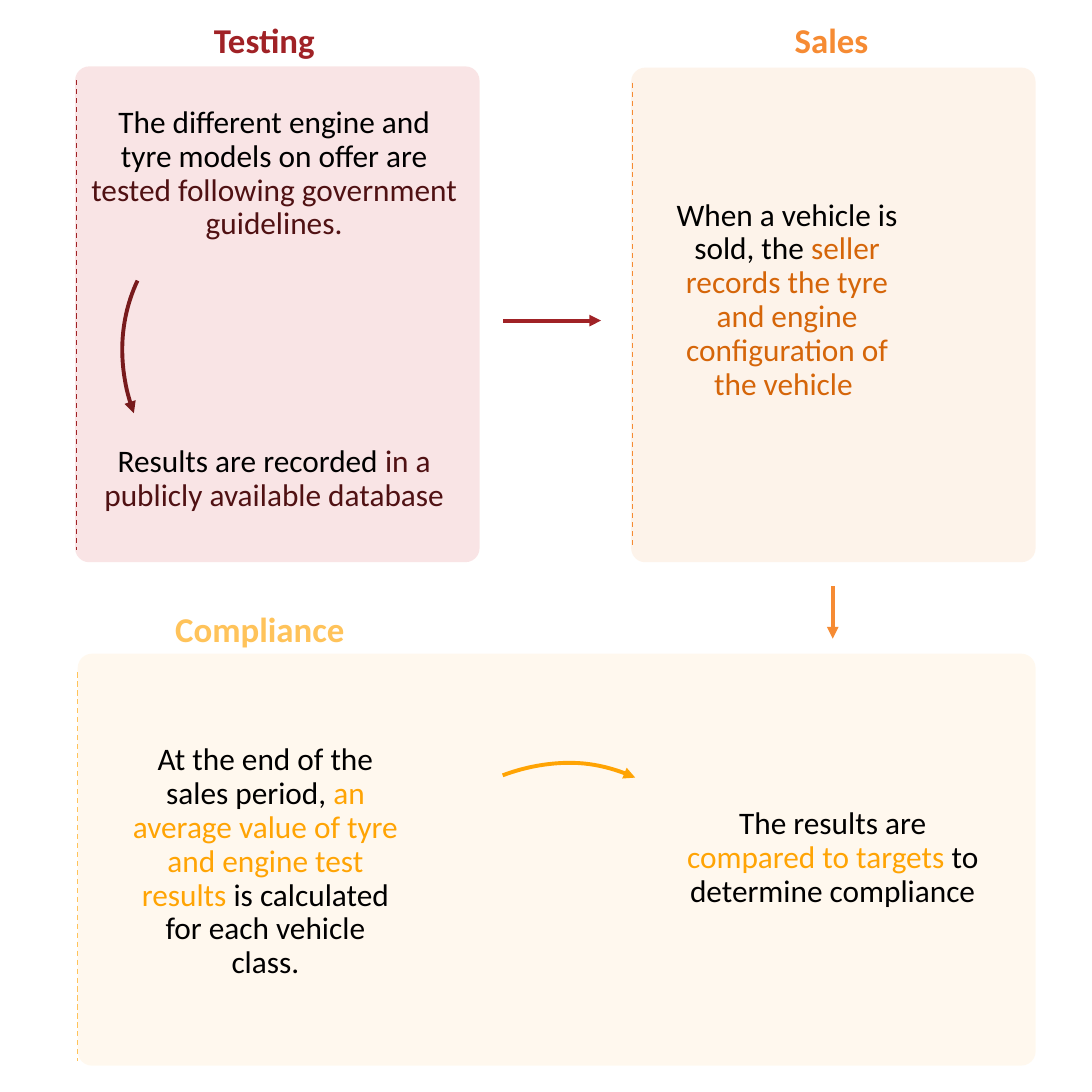
from lxml import etree
from pptx import Presentation
from pptx.dml.color import RGBColor
from pptx.enum.dml import MSO_LINE
from pptx.enum.shapes import MSO_CONNECTOR, MSO_SHAPE
from pptx.enum.text import MSO_AUTO_SIZE, PP_ALIGN
from pptx.oxml.ns import qn
from pptx.util import Inches, Pt

SIDE = 8.72
BLACK = "000000"
HEADING_TOP, HEADING_HEIGHT = 2.18, 3.44
ARC_SIZE = (40.37, 34.17)
ARC_ANGLES = (194.412, 0)
PARAGRAPH_GAP = 117

# Places are percentages of the slide's side: left, top, width, height.
STAGES = [
    {"name": "Compliance", "colour": "FFC35A", "tint": "FFF3DE",
     "panel": (7.11, 59.86, 87.73, 37.73), "heading": (12.73, 56.08, 22.13, HEADING_HEIGHT),
     "edge": (0, 1.72, 0.46)},
    {"name": "Sales", "colour": "F68B33", "tint": "FDE8D6",
     "panel": (57.8, 6.19, 37.04, 45.3), "heading": (68.12, HEADING_TOP, 16.06, HEADING_HEIGHT),
     "edge": (0.11, 1.38, 1.49)},
    {"name": "Testing", "colour": "A02226", "tint": "F4CBCC",
     "panel": (6.88, 6.08, 37.04, 45.41), "heading": (16.17, HEADING_TOP, 16.06, HEADING_HEIGHT),
     "edge": (0.11, 1.26, 1.15)},
]
STEPS = [
    ((8.37, 9.75, 33.49, 37.5), 0, [
        [("The different engine and tyre models on offer are ", BLACK),
         ("tested following government guidelines.", "501113")],
        [("Results are recorded ", BLACK),
         ("in a publicly available database", "501113")]]),
    ((61.7, 18.23, 20.76, 18.81), 0, [
        [("When a vehicle is sold, the ", BLACK),
         ("seller records the tyre and engine configuration of the vehicle ", "D56509")]]),
    ((62.84, 73.97, 26.83, 9.4), 0, [
        [("The results are ", BLACK), ("compared to targets", "FFA404"),
         (" to determine compliance", BLACK)]]),
    ((10.89, 67.55, 26.83, 26.15), 1, [
        [("At the end of the sales period, ", BLACK),
         ("an average value of tyre and engine test results ", "FFA404"),
         ("is calculated for each vehicle class.", BLACK)]]),
]
ARCS = [
    ((10.67, 17.2), 205.2, "781A1C", "headEnd"),
    ((29.59, 72.48), 294.6, "FFA404", "tailEnd"),
]
ARROWS = [
    ((46.1, 29.36), (55.05, 29.36), "A02226"),
    ((76.26, 53.67), (76.26, 58.49), "F68B33"),
]


def share(*values):
    """Turn percentages of the slide's side into lengths."""
    return [Inches(SIDE * value / 100) for value in values]


def rgb(colour):
    """Turn a hex string into a colour."""
    return RGBColor.from_string(colour)


def add_text(shapes, place, paragraphs, size, bold=False, inset=0):
    """Add a centred text box of coloured runs."""
    frame = shapes.add_textbox(*share(*place)).text_frame
    margins = {"margin_left": Inches(0.1), "margin_right": Inches(0.1),
               "margin_top": Inches(0.05), "margin_bottom": Inches(0.05)}
    for name, value in margins.items():
        setattr(frame, name, value * inset)
    frame.word_wrap = True
    frame.auto_size = MSO_AUTO_SIZE.SHAPE_TO_FIT_TEXT
    for index, runs in enumerate(paragraphs):
        paragraph = frame.add_paragraph() if index else frame.paragraphs[0]
        layout = {"alignment": PP_ALIGN.CENTER, "line_spacing": 0.9}
        if index:
            layout["space_before"] = Pt(PARAGRAPH_GAP)
        for name, value in layout.items():
            setattr(paragraph, name, value)
        for words, colour in runs:
            run = paragraph.add_run()
            run.text = words
            for name, value in {"name": "Calibri", "size": Pt(size), "bold": bold}.items():
                setattr(run.font, name, value)
            run.font.color.rgb = rgb(colour)


def style_line(line, colour, width, arrowhead=None):
    """Colour a line and give it an optional arrowhead."""
    line.color.rgb = rgb(colour)
    line.width = Pt(width)
    if arrowhead:
        properties = line._get_or_add_ln()
        etree.SubElement(properties, qn(f"a:{arrowhead}"), type="triangle")


def add_line(shapes, start, end, colour, width, arrowhead=None):
    """Add a straight connector without a shadow."""
    connector = shapes.add_connector(MSO_CONNECTOR.STRAIGHT, *share(*start, *end))
    style_line(connector.line, colour, width, arrowhead)
    etree.SubElement(connector._element.spPr, qn("a:effectLst"))
    return connector


def add_panel(shapes, place, tint):
    """Add a half-transparent rounded panel."""
    panel = shapes.add_shape(MSO_SHAPE.ROUNDED_RECTANGLE, *share(*place))
    panel.adjustments[0] = 0.035
    panel.shadow.inherit = False
    panel.line.fill.background()
    panel.fill.solid()
    panel.fill.fore_color.rgb = rgb(tint)
    tone = panel._element.spPr.find(qn("a:solidFill"))[0]
    etree.SubElement(tone, qn("a:alpha"), val="50000")


def add_arc(shapes, corner, rotation, colour, arrowhead):
    """Add a curved arrow."""
    arc = shapes.add_shape(MSO_SHAPE.ARC, *share(*corner, *ARC_SIZE))
    for index, angle in enumerate(ARC_ANGLES):
        arc.adjustments[index] = angle
    arc.rotation = rotation
    arc.shadow.inherit = False
    arc.fill.background()
    style_line(arc.line, colour, 2.25, arrowhead)


def main():
    """Build the slide and save it."""
    deck = Presentation()
    deck.slide_width = deck.slide_height = Inches(SIDE)
    shapes = deck.slides.add_slide(deck.slide_layouts[6]).shapes
    for stage in STAGES:
        add_panel(shapes, stage["panel"], stage["tint"])
    for stage in STAGES:
        add_text(shapes, stage["heading"], [[(stage["name"], stage["colour"])]], 20, bold=True)
        left, top, _, height = stage["panel"]
        shift, above, below = stage["edge"]
        edge = add_line(shapes, (left + shift, top + above),
                        (left + shift, top + height - below), stage["colour"], 0.75)
        edge.line.dash_style = MSO_LINE.DASH
    for place, inset, paragraphs in STEPS:
        add_text(shapes, place, paragraphs, 18, inset=inset)
    for arc in ARCS:
        add_arc(shapes, *arc)
    for start, end, colour in ARROWS:
        add_line(shapes, start, end, colour, 2.25, "tailEnd")
    deck.save("out.pptx")


if __name__ == "__main__":
    main()
